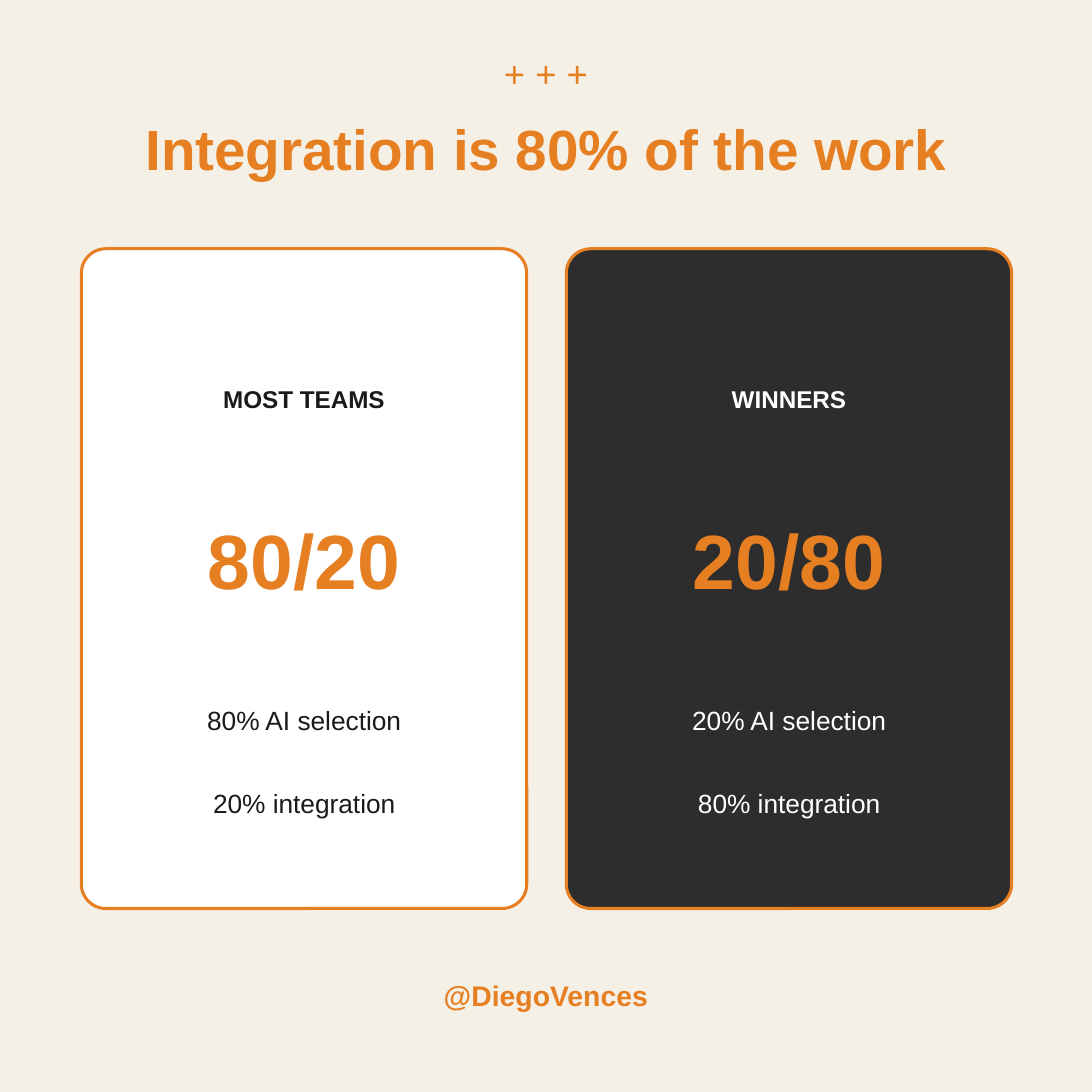
from pptx import Presentation
from pptx.dml.color import RGBColor
from pptx.enum.shapes import MSO_SHAPE as Shape
from pptx.enum.text import MSO_ANCHOR as Anchor, MSO_AUTO_SIZE as AutoSize, PP_ALIGN as Align
from pptx.util import Cm, Pt

COLORS = {"cream": "F5F0E6", "orange": "E67E22", "white": "FFFFFF",
          "charcoal": "2D2D2D", "ink": "1A1A1A"}
SIDE = 19.05
CARD_TOP, CARD_WIDTH, CARD_HEIGHT = 4.34, 7.77, 11.51
CARD_MARGIN, CARD_STEP, CARD_PADDING = 1.42, 8.46, 0.69

# Spacing of each kind of text
MARKS = {"space_before": Pt(25)}
TITLE = {"space_before": Pt(10), "space_after": Pt(15), "line_spacing": 1.0}
LABEL = {"space_before": Pt(12), "space_after": Pt(12)}
RATIO = {"space_before": Pt(38), "space_after": Pt(38)}
DETAIL = {"space_before": Pt(10), "space_after": Pt(13), "line_spacing": Pt(18.2)}
HANDLE = {"space_before": Pt(14), "space_after": Pt(40)}

CARDS = [
    ("white", "ink", "MOST TEAMS", "80/20", ["80% AI selection", "20% integration"]),
    ("charcoal", "white", "WINNERS", "20/80", ["20% AI selection", "80% integration"]),
]


def color(name):
    return RGBColor.from_string(COLORS[name])


def write(box, lines, size, ink, bold, spacing):
    """Fill a text shape with centred paragraphs and no insets."""
    frame = box.text_frame
    settings = {"margin_left": 0, "margin_top": 0, "margin_right": 0, "margin_bottom": 0,
                "word_wrap": True, "auto_size": AutoSize.NONE, "vertical_anchor": Anchor.TOP}
    for name, value in settings.items():
        setattr(frame, name, value)
    for index, line in enumerate(lines):
        para = frame.add_paragraph() if index else frame.paragraphs[0]
        for name, value in {"alignment": Align.CENTER, **spacing}.items():
            setattr(para, name, value)
        span = para.add_run()
        span.text = line
        for name, value in {"name": "Arial", "size": Pt(size), "bold": bold}.items():
            setattr(span.font, name, value)
        span.font.color.rgb = color(ink)


def add_text(page, left, top, width, height, *text):
    box = page.shapes.add_textbox(Cm(left), Cm(top), Cm(width), Cm(height))
    write(box, *text)


def add_header(page, left, top, width):
    # Plus marks above the title
    add_text(page, left, top, width, 0.74, ["+ + +"], 18, "orange", False, MARKS)
    title = page.shapes.title
    place = {"left": left + 0.89, "top": top + 1.09, "width": width - 1.78, "height": 1.14}
    for name, value in place.items():
        setattr(title, name, Cm(value))
    write(title, ["Integration is 80% of the work"], 28, "orange", True, TITLE)


def add_card(page, left, top, width, height, fill, ink, label, ratio, details):
    # Outlined panel
    panel = page.shapes.add_shape(Shape.ROUNDED_RECTANGLE,
                                  Cm(left), Cm(top), Cm(width), Cm(height))
    panel.adjustments[0] = 0.055
    panel.shadow.inherit = False
    panel.fill.solid()
    panel.fill.fore_color.rgb = color(fill)
    panel.line.color.rgb = color("orange")
    panel.line.width = Pt(1.5)
    # Label, ratio and details
    inner = left + CARD_PADDING
    inner_width = width - 2 * CARD_PADDING
    for offset, depth, *text in (
        (2.36, 0.48, [label], 12, ink, True, LABEL),
        (4.6, 1.55, [ratio], 38, "orange", True, RATIO),
        (7.85, 1.3, details, 13, ink, False, DETAIL),
    ):
        add_text(page, inner, top + offset, inner_width, depth, *text)


def add_footer(page, left, top, width):
    add_text(page, left, top, width, 0.58, ["@DiegoVences"], 14, "orange", True, HANDLE)


def main():
    deck = Presentation()
    deck.slide_width = deck.slide_height = Cm(SIDE)
    page = deck.slides.add_slide(deck.slide_layouts[5])
    page.background.fill.solid()
    page.background.fill.fore_color.rgb = color("cream")

    add_header(page, 0, 0.89, SIDE)
    for index, card in enumerate(CARDS):
        add_card(page, CARD_MARGIN + index * CARD_STEP, CARD_TOP, CARD_WIDTH, CARD_HEIGHT, *card)
    add_footer(page, 0, 17.07, SIDE)
    deck.save("out.pptx")


if __name__ == "__main__":
    main()
